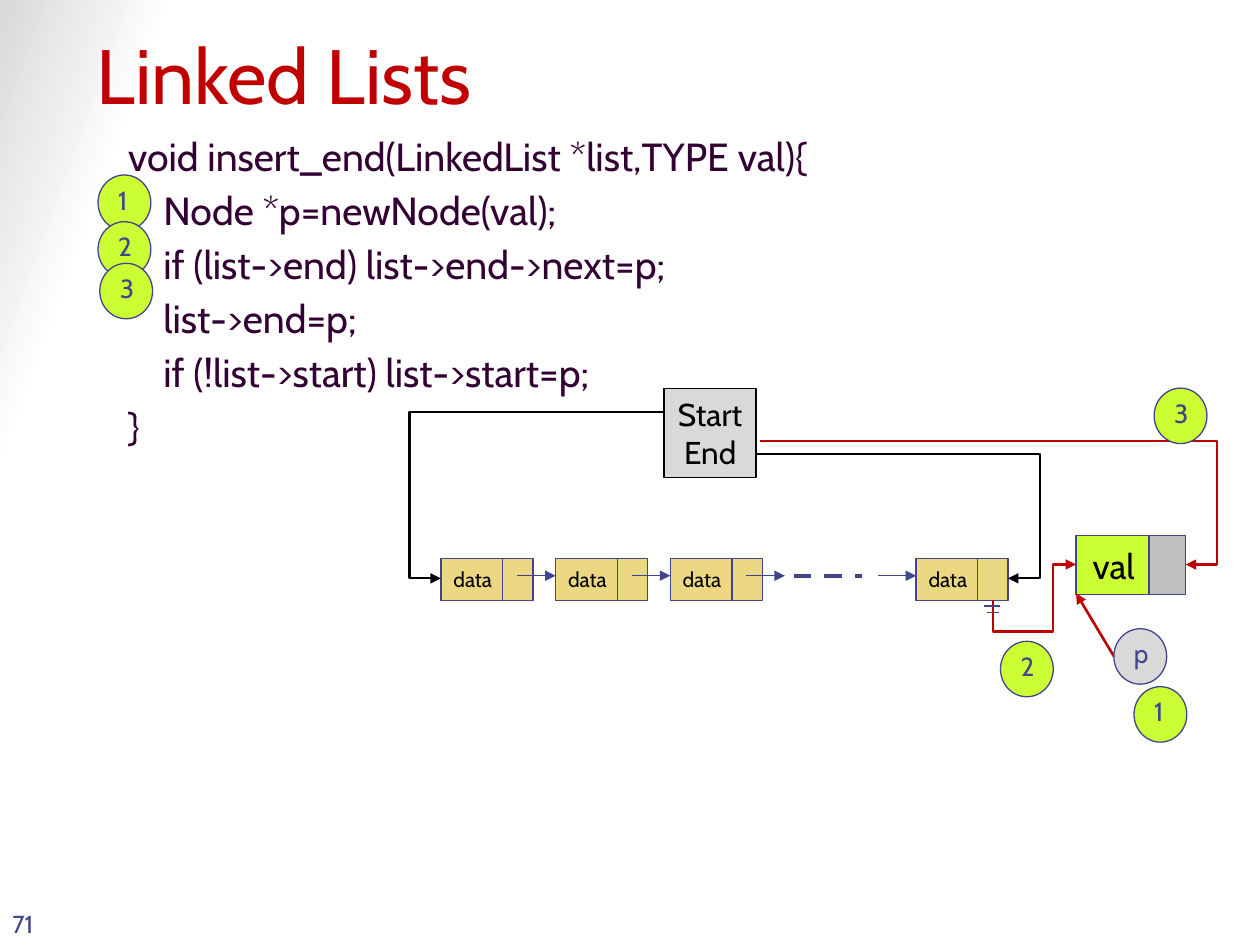
from dataclasses import dataclass

import pptx
import pptx.dml.color
import pptx.enum.dml
import pptx.enum.shapes
import pptx.enum.text
import pptx.oxml
import pptx.oxml.ns
import pptx.util

Pt = pptx.util.Pt
Color = pptx.dml.color.RGBColor.from_string
Shape = pptx.enum.shapes.MSO_SHAPE
Connector = pptx.enum.shapes.MSO_CONNECTOR
Align = pptx.enum.text.PP_ALIGN
Anchor = pptx.enum.text.MSO_ANCHOR
NO_AUTOFIT = pptx.enum.text.MSO_AUTO_SIZE.NONE


@dataclass(frozen=True)
class Theme:
    font: str = "Cabin"
    red: str = "C00000"
    code: str = "330033"
    blue: str = "40458C"
    black: str = "000000"
    node: str = "ECD882"
    lime: str = "CCFF33"
    light: str = "D9D9D9"
    grey: str = "BFBFBF"
    white: str = "FFFFFF"
    title_size: float = 44
    code_size: float = 22.4
    value_size: float = 20
    pointer_size: float = 18
    step_size: float = 15
    number_size: float = 14
    data_size: float = 12


THEME = Theme()
CODE = [
    "void insert_end(LinkedList *list,TYPE val){",
    "    Node *p=newNode(val);",
    "    if (list->end) list->end->next=p;",
    "    list->end=p;",
    "    if (!list->start) list->start=p;",
    "}",
]
NODE_PITCH = 65.5
NODE_TOP, NODE_HEIGHT = 319, 24
DATA_WIDTH, NEXT_WIDTH = 35.3, 17.3
LINK_Y, LINK_LENGTH = 329, 22
# label, left, top, fill
STEPS = [
    ("1", 56, 100, THEME.lime),
    ("2", 56, 126.7, THEME.lime),
    ("3", 57, 150.5, THEME.lime),
    ("1", 648, 392.4, THEME.lime),
    ("2", 571.7, 366.5, THEME.lime),
    ("3", 659.5, 221.8, THEME.lime),
    ("p", 636.5, 359.3, THEME.light),
]


def apply(target, values):
    for name, value in values.items():
        setattr(target, name, value)


def place(shape, left, top, width, height):
    apply(shape, {"left": Pt(left), "top": Pt(top),
                  "width": Pt(width), "height": Pt(height)})


def write(shape, lines, size, color, frame_format=None, **paragraph_format):
    frame = shape.text_frame
    apply(frame, {"auto_size": NO_AUTOFIT, **(frame_format or {})})
    for index, line in enumerate(lines):
        para = frame.add_paragraph() if index else frame.paragraphs[0]
        apply(para, {"alignment": Align.LEFT, **paragraph_format})
        span = para.add_run()
        span.text = line
        apply(span.font, {"name": THEME.font, "size": Pt(size)})
        span.font.color.rgb = Color(color)


def add_box(shapes, kind, area, fill, outline=THEME.blue):
    box = shapes.add_shape(kind, *map(Pt, area))
    box.shadow.inherit = False
    box.fill.solid()
    box.fill.fore_color.rgb = Color(fill)
    box.line.color.rgb = Color(outline)
    box.line.width = Pt(0.75)
    return box


def add_line(shapes, start, end, color=THEME.blue, width=0.75,
             arrow=True, bend=None, dash=None):
    """Add a straight line, or an elbow whose turn lies at the ratio bend."""
    kind = Connector.STRAIGHT if bend is None else Connector.ELBOW
    line = shapes.add_connector(kind, *map(Pt, (*start, *end)))
    line.line.color.rgb = Color(color)
    line.line.width = Pt(width)
    if dash:
        line.line.dash_style = dash
    if arrow:
        tail = pptx.oxml.parse_xml(
            f'<a:tailEnd {pptx.oxml.ns.nsdecls("a")} type="triangle"/>')
        line.line._get_or_add_ln().append(tail)
    line._element.spPr.append(
        pptx.oxml.parse_xml(f'<a:effectLst {pptx.oxml.ns.nsdecls("a")}/>'))
    if bend is not None:
        set_bends(line, "bentConnector3", bend)
    return line


def set_bends(line, preset, *ratios):
    geometry = line._element.spPr.find(pptx.oxml.ns.qn("a:prstGeom"))
    geometry.set("prst", preset)
    for child in list(geometry):
        geometry.remove(child)
    guides = "".join(
        f'<a:gd name="adj{number}" fmla="val {round(ratio * 100000)}"/>'
        for number, ratio in enumerate(ratios, 1))
    geometry.append(pptx.oxml.parse_xml(
        f'<a:avLst {pptx.oxml.ns.nsdecls("a")}>{guides}</a:avLst>'))


def add_background(page):
    fill = page.background.fill
    fill.gradient()
    fill.gradient_angle = 160
    stops = ((0.89, THEME.white), (1, THEME.light))
    for stop, (position, color) in zip(fill.gradient_stops, stops):
        stop.position = position
        stop.color.rgb = Color(color)


def add_texts(page):
    title, body = page.placeholders
    place(title, 48, 24, 612, 48)
    write(title, ["Linked Lists"], THEME.title_size, THEME.red,
          {"vertical_anchor": Anchor.BOTTOM})
    place(body, 66, 72, 564, 181)
    write(body, CODE, THEME.code_size, THEME.code, space_before=Pt(4))
    for index, para in enumerate(body.text_frame.paragraphs):
        if not index:
            para.space_before = Pt(0)
        properties = para._p.get_or_add_pPr()
        properties.set("marL", "0")
        properties.set("indent", "0")
        properties.append(pptx.oxml.parse_xml(
            f'<a:buNone {pptx.oxml.ns.nsdecls("a")}/>'))
    number = page.shapes.add_textbox(*map(Pt, (0, 504, 42, 36)))
    write(number, ["71"], THEME.number_size, THEME.blue,
          {"vertical_anchor": Anchor.BOTTOM, "word_wrap": True})


def add_node(shapes, left):
    data = add_box(shapes, Shape.RECTANGLE,
                   (left, NODE_TOP, DATA_WIDTH, NODE_HEIGHT), THEME.node)
    write(data, ["data"], THEME.data_size, THEME.black,
          {"vertical_anchor": Anchor.MIDDLE, "word_wrap": False})
    add_box(shapes, Shape.RECTANGLE,
            (left + DATA_WIDTH, NODE_TOP, NEXT_WIDTH, NODE_HEIGHT), THEME.node)


def add_list(page):
    shapes = page.shapes.add_group_shape().shapes
    first, last = 252, 523.5
    row = [first + NODE_PITCH * index for index in range(4)]
    for left in (*row[:3], last):
        add_node(shapes, left)
    for end in (*row[1:], last):
        add_line(shapes, (end - LINK_LENGTH, LINK_Y), (end, LINK_Y))
    add_line(shapes, (453.6, LINK_Y), (492.5, LINK_Y), width=2.5, arrow=False,
             dash=pptx.enum.dml.MSO_LINE.DASH)


def add_new_node(page):
    shapes = page.shapes.add_group_shape().shapes
    value = add_box(shapes, Shape.RECTANGLE, (614.9, 306, 43, 33.8), THEME.lime)
    write(value, ["val"], THEME.value_size, THEME.black,
          {"vertical_anchor": Anchor.MIDDLE, "word_wrap": False},
          alignment=Align.CENTER)
    add_box(shapes, Shape.RECTANGLE, (656.6, 306, 21, 33.8), THEME.grey)


def add_pointers(page):
    shapes = page.shapes
    ends = add_box(shapes, Shape.RECTANGLE, (379.5, 222, 52.6, 51),
                   THEME.light, THEME.black)
    write(ends, ["Start", "End"], THEME.pointer_size, THEME.black,
          {"vertical_anchor": Anchor.TOP, "word_wrap": False},
          alignment=Align.CENTER)
    old = {"color": THEME.black, "width": 1.25}
    new = {"color": THEME.red, "width": 1.5}
    add_line(shapes, (378.7, 235.4), (252, 330.5), bend=1.142, **old)
    add_line(shapes, (431.3, 259.2), (576, 330.5), bend=1.125, **old)
    add_line(shapes, (434.2, 252), (677.5, 322.6), bend=1.074, **new)
    add_line(shapes, (636.5, 375), (614.9, 339), **new)
    link = add_line(shapes, (581, 308.9), (601.2, 356.4), bend=0, **new)
    set_bends(link, "bentConnector4", -0.901, 0.722)
    for name, value in {"rot": "5400000", "flipH": "1", "flipV": "1"}.items():
        link._element.spPr.xfrm.set(name, value)


def add_ground(page):
    shapes = page.shapes.add_group_shape().shapes
    for left, right, y in ((562.3, 571.7, 346.3), (563.8, 571, 349.9)):
        add_line(shapes, (left, y), (right, y), arrow=False)


def add_step(page, label, left, top, fill):
    circle = add_box(page.shapes, Shape.OVAL, (left, top, 30.2, 31.7), fill)
    write(circle, [label], THEME.step_size, THEME.blue,
          {"vertical_anchor": Anchor.MIDDLE, "word_wrap": False},
          line_spacing=0.8)


def main():
    deck = pptx.Presentation()
    apply(deck, {"slide_width": Pt(720), "slide_height": Pt(540)})
    page = deck.slides.add_slide(deck.slide_layouts[1])
    add_background(page)
    add_texts(page)
    add_list(page)
    add_new_node(page)
    add_pointers(page)
    add_ground(page)
    for step in STEPS:
        add_step(page, *step)
    deck.save("out.pptx")


if __name__ == "__main__":
    main()
